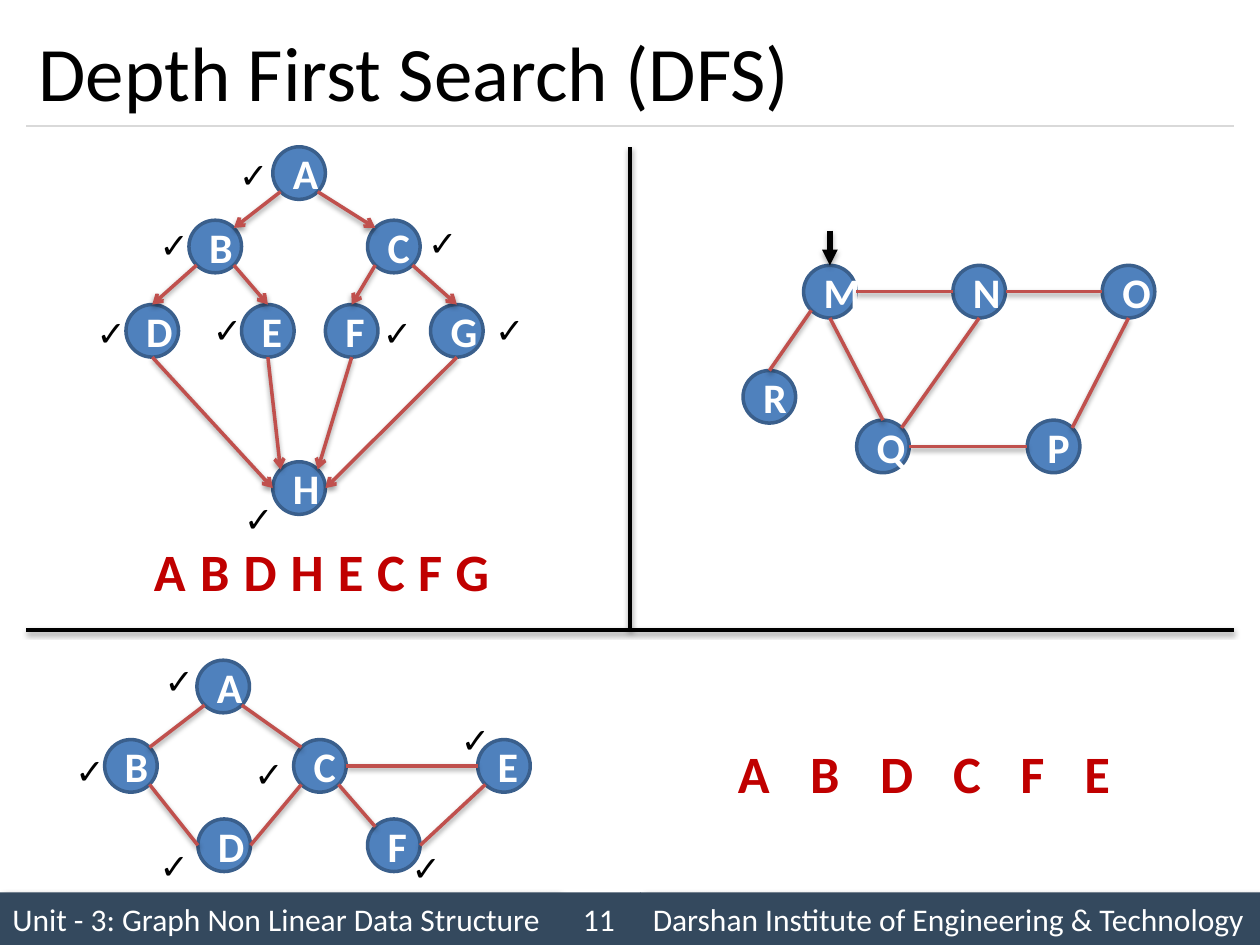
"""Build the depth first search slide with three graphs and their visiting orders."""
from math import sqrt

from pptx import Presentation
from pptx.dml.color import RGBColor
from pptx.enum.shapes import MSO_CONNECTOR, MSO_SHAPE
from pptx.enum.text import MSO_ANCHOR, MSO_AUTO_SIZE, PP_ALIGN
from pptx.oxml import parse_xml
from pptx.oxml.ns import nsdecls
from pptx.util import Cm, Pt

FONT = "Calibri"
BLACK, WHITE, RED = "000000", "FFFFFF", "C00000"
NODE_FILL, NODE_EDGE, EDGE = "4F81BD", "3A5F8C", "C0504D"
BAR, RULE = "34495E", "D9D9D9"
DIAMETER = 1.06
RADIUS = DIAMETER / 2
DIAGONAL = 1 / sqrt(2)
SIDES = {
    "n": (0, -1), "s": (0, 1), "w": (-1, 0), "e": (1, 0),
    "nw": (-DIAGONAL, -DIAGONAL), "ne": (DIAGONAL, -DIAGONAL),
    "sw": (-DIAGONAL, DIAGONAL), "se": (DIAGONAL, DIAGONAL),
}

TITLE = "Depth First Search (DFS)"
FOOTER = [
    ("Unit - 3: Graph Non Linear Data Structure", 0, 11.23, PP_ALIGN.LEFT, True),
    ("Darshan Institute of Engineering & Technology", 12.91, 12.49, PP_ALIGN.LEFT, True),
    ("11", 11.23, 1.69, PP_ALIGN.CENTER, False),
]
DIRECTED = {
    "nodes": {"A": (6.03, 3.49), "B": (4.34, 4.97), "C": (7.94, 4.97), "D": (3.07, 6.67),
              "E": (5.4, 6.67), "F": (7.09, 6.67), "G": (9.21, 6.67), "H": (6.03, 9.84)},
    "edges": ["A sw B ne", "A se C nw", "B sw D n", "B se E n", "C sw F n",
              "C se G n", "D s H w", "E s H nw", "F s H ne", "G s H e"],
    "arrow": "arrow",
    "checks": [(4.57, 2.97), (2.97, 4.39), (1.7, 6.15), (4.67, 9.91),
               (4.04, 6.1), (8.38, 4.34), (7.47, 6.15), (9.73, 6.1)],
}
UNDIRECTED = {
    "nodes": {"A": (4.5, 13.84), "B": (2.64, 15.44), "C": (6.45, 15.44),
              "D": (4.52, 17.04), "E": (10.16, 15.44), "F": (7.94, 17.04)},
    "edges": ["A sw B ne", "A se C nw", "B se D w", "D e C sw",
              "C e E w", "C se F nw", "E sw F e"],
    "arrow": None,
    "checks": [(3.07, 13.18), (1.27, 14.99), (2.97, 16.89),
               (4.88, 15.04), (8.05, 16.94), (9.04, 14.35)],
}
EXERCISE = {
    "nodes": {"R": (15.51, 8), "M": (16.73, 5.88), "Q": (17.8, 9),
              "N": (19.74, 5.88), "P": (21.24, 9), "O": (22.75, 5.88)},
    "edges": ["M sw R n", "M e N w", "M s Q n", "N s Q ne",
              "O s P ne", "Q e P w", "N e O w"],
    "arrow": None,
    "checks": [],
}
LETTER_WIDTHS = {"A": 1.17, "B": 1.12, "C": 1.07, "D": 1.19,
                 "E": 1.04, "F": 0.99, "G": 1.19, "H": 1.19}
ORDERS = [("ABDHECFG", 2.84, 10.74, -0.24), ("ABDCFE", 14.61, 14.81, 0.29)]


def color(code):
    return RGBColor.from_string(code)


def set_shadow(shape, blur=3.1, distance=1.6, angle=90, alpha=38):
    shape._element.spPr.append(parse_xml(
        f'<a:effectLst {nsdecls("a")}><a:outerShdw blurRad="{Pt(blur)}" dist="{Pt(distance)}" '
        f'dir="{angle * 60000}" rotWithShape="0"><a:srgbClr val="{BLACK}">'
        f'<a:alpha val="{alpha * 1000}"/></a:srgbClr></a:outerShdw></a:effectLst>'))


def write(shape, text, size, ink, bold=False, align=PP_ALIGN.LEFT, anchor=MSO_ANCHOR.MIDDLE):
    frame = shape.text_frame
    frame.word_wrap = True
    frame.vertical_anchor = anchor
    paragraph = frame.paragraphs[0]
    paragraph.text = text
    paragraph.alignment = align
    font = paragraph.font
    font.name, font.size, font.bold = FONT, Pt(size), bold
    font.color.rgb = color(ink)


def add_label(slide, text, left, top, width, height, size, ink, align=PP_ALIGN.LEFT):
    label = slide.shapes.add_textbox(Cm(left), Cm(top), Cm(width), Cm(height))
    write(label, text, size, ink, True, align, MSO_ANCHOR.TOP)
    label.text_frame.word_wrap = False
    label.text_frame.auto_size = MSO_AUTO_SIZE.SHAPE_TO_FIT_TEXT


def add_line(slide, start, end, ink, weight=2, arrow=None):
    line = slide.shapes.add_connector(
        MSO_CONNECTOR.STRAIGHT, *(Cm(value) for value in (*start, *end)))
    line.line.color.rgb = color(ink)
    line.line.width = Pt(weight)
    if arrow:
        line.line._get_or_add_ln().append(
            parse_xml(f'<a:tailEnd {nsdecls("a")} type="{arrow}"/>'))
    return line


def add_footer(slide):
    for text, left, width, align, shaded in FOOTER:
        bar = slide.shapes.add_shape(
            MSO_SHAPE.RECTANGLE, Cm(left), Cm(17.99), Cm(width), Cm(1.06))
        bar.fill.solid()
        bar.fill.fore_color.rgb = color(BAR)
        bar.line.fill.background()
        if shaded:
            set_shadow(bar, 4, 3, 45, 40)
        else:
            bar.shadow.inherit = False
        write(bar, text, 18, WHITE, align=align)


def add_graph(slide, graph):
    nodes = graph["nodes"]
    for name, (x, y) in nodes.items():
        node = slide.shapes.add_shape(
            MSO_SHAPE.OVAL, Cm(x - RADIUS), Cm(y - RADIUS), Cm(DIAMETER), Cm(DIAMETER))
        node.fill.solid()
        node.fill.fore_color.rgb = color(NODE_FILL)
        node.line.color.rgb = color(NODE_EDGE)
        node.line.width = Pt(2)
        node.shadow.inherit = False
        write(node, name, 24, WHITE, True, PP_ALIGN.CENTER)

    def rim(name, side):
        return [center + RADIUS * step for center, step in zip(nodes[name], SIDES[side])]

    for edge in graph["edges"]:
        source, source_side, target, target_side = edge.split()
        set_shadow(add_line(slide, rim(source, source_side), rim(target, target_side),
                            EDGE, arrow=graph["arrow"]))
    for left, top in graph["checks"]:
        add_label(slide, "✓", left, top, 1.04, 1.11, 20, BLACK)


def add_order(slide, letters, left, top, gap):
    for letter in letters:
        width = LETTER_WIDTHS[letter]
        add_label(slide, letter, left, top, width, 1.54, 30, RED, PP_ALIGN.CENTER)
        left += width + gap


def main():
    deck = Presentation()
    deck.slide_width, deck.slide_height = Cm(25.4), Cm(19.05)
    slide = deck.slides.add_slide(deck.slide_layouts[6])

    add_footer(slide)
    title_rule = add_line(slide, (0.53, 2.54), (24.87, 2.54), RULE, 0.75)
    title_rule._element.spPr.append(parse_xml(f'<a:effectLst {nsdecls("a")}/>'))
    title = slide.shapes.add_textbox(Cm(0.53), Cm(0.3), Cm(24.34), Cm(2.24))
    write(title, TITLE, 44, BLACK)

    for graph in (DIRECTED, UNDIRECTED, EXERCISE):
        add_graph(slide, graph)
    for start, end in [((0.53, 12.7), (24.87, 12.7)), ((12.7, 2.97), (12.7, 12.7))]:
        set_shadow(add_line(slide, start, end, BLACK))

    start_x, start_y = EXERCISE["nodes"]["M"]
    pointer = add_line(slide, (start_x, 4.65), (start_x, start_y - RADIUS), BLACK, 3, "triangle")
    set_shadow(pointer, distance=1.8, alpha=35)
    for order in ORDERS:
        add_order(slide, *order)
    deck.save("out.pptx")


if __name__ == "__main__":
    main()
